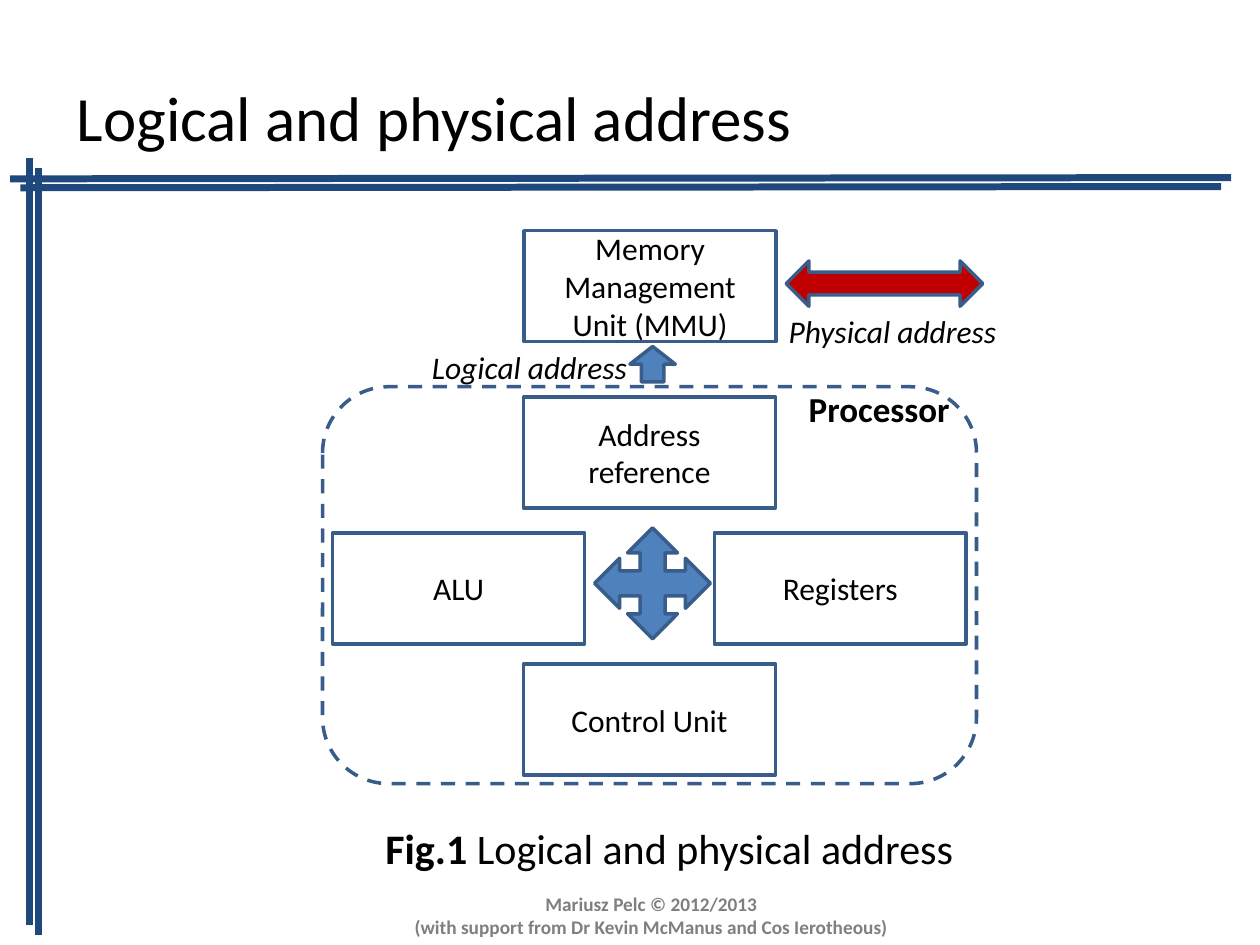
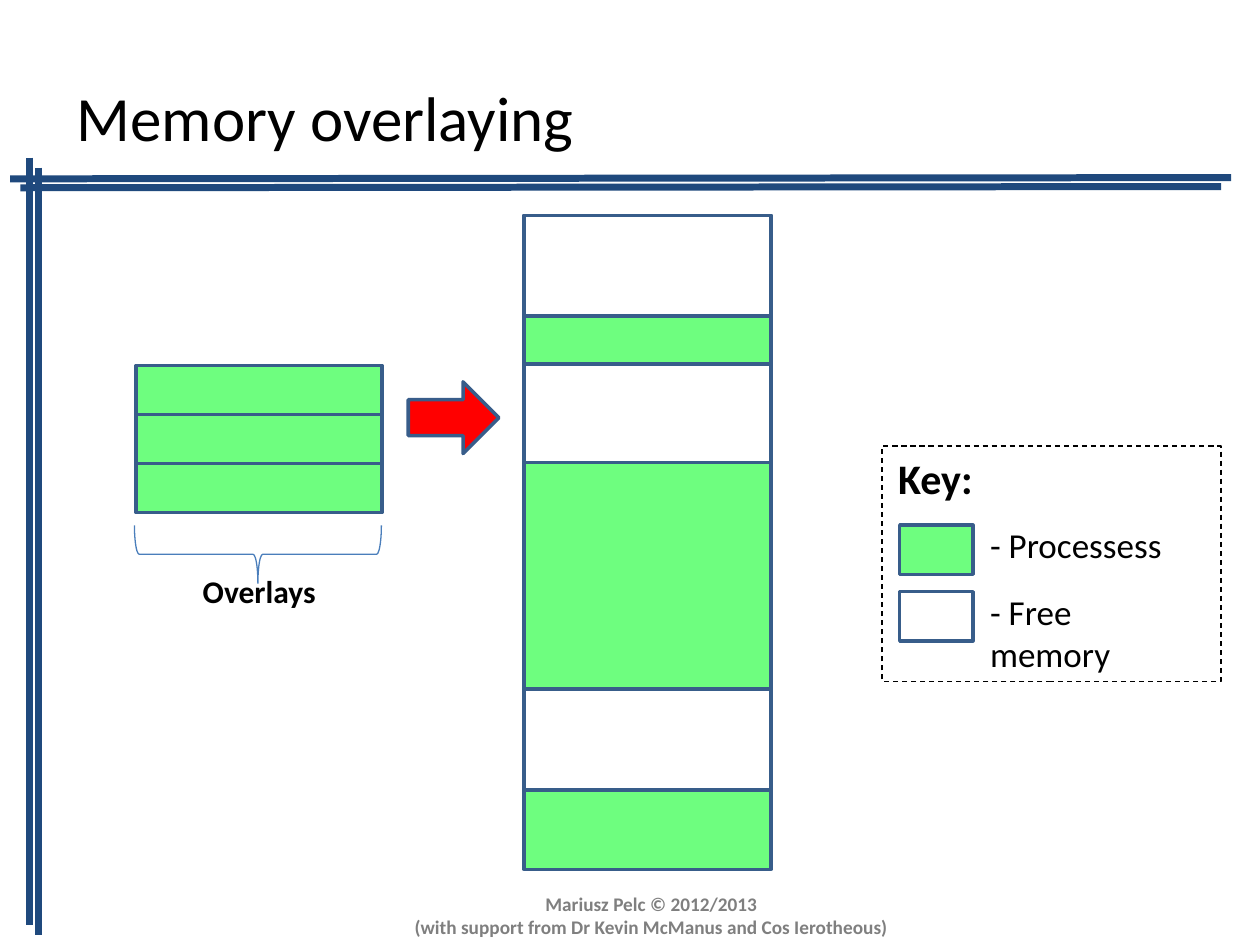
import pptx
import pptx.dml.color
import pptx.enum.dml
import pptx.enum.shapes
import pptx.enum.text
import pptx.oxml
import pptx.util

Pt = pptx.util.Pt
SHAPE = pptx.enum.shapes.MSO_SHAPE
ALIGN = pptx.enum.text.PP_ALIGN
MIDDLE = pptx.enum.text.MSO_ANCHOR.MIDDLE
DASH = pptx.enum.dml.MSO_LINE.DASH
FONT = "Calibri"
COLORS = {"band": "1F497D", "edge": "385D8A", "brace": "4A7EBB", "arrow": "4F81BD",
          "physical": "C00000", "load": "FF0000", "process": "6EFE7F",
          "free": "FFFFFF", "text": "000000", "footer": "7F7F7F"}


def rgb(name):
    """Return the named colour of the palette."""
    return pptx.dml.color.RGBColor.from_string(COLORS[name])


def format_span(span, size, color="text", **styles):
    """Apply the font, size, colour and styles to a run."""
    for name, value in {"name": FONT, "size": Pt(size), **styles}.items():
        setattr(span.font, name, value)
    span.font.color.rgb = rgb(color)


def write(para, text, size, color="text", align=ALIGN.LEFT, **styles):
    """Add one formatted run to a paragraph."""
    para.alignment = align
    span = para.add_run()
    span.text = text
    format_span(span, size, color, **styles)


def add_label(page, box, text, size, **styles):
    """Add a one-line text box and return its frame."""
    frame = page.shapes.add_textbox(*map(Pt, box)).text_frame
    frame.word_wrap = False
    write(frame.paragraphs[0], text, size, **styles)
    return frame


def add_figure(page, kind, box, fill=None, edge="edge", width=2, dash=None):
    """Add an outlined preset shape with an optional fill."""
    figure = page.shapes.add_shape(kind, *map(Pt, box))
    figure.shadow.inherit = False
    if fill:
        figure.fill.solid()
        figure.fill.fore_color.rgb = rgb(fill)
    else:
        figure.fill.background()
    figure.line.color.rgb = rgb(edge)
    for name, value in {"width": Pt(width), "dash_style": dash}.items():
        setattr(figure.line, name, value)
    return figure


def add_block(page, left, top, text):
    """Add a hardware block with a centred name."""
    block = add_figure(page, SHAPE.RECTANGLE, (left, top, 144, 63.4))
    block.text_frame.vertical_anchor = MIDDLE
    block.text_frame.word_wrap = True
    write(block.text_frame.paragraphs[0], text, 18, align=ALIGN.CENTER)


def add_bands(page, left, top):
    """Draw the crossing double bands from their upper left corner."""
    lines = [(10.8, 0, 10.8, 438.5), (16.5, 5.8, 16.5, 444.3),
             (0, 12.2, 697.7, 11.5), (5.8, 17.3, 692, 16.6)]
    for x1, y1, x2, y2 in lines:
        band = page.shapes.add_connector(
            pptx.enum.shapes.MSO_CONNECTOR.STRAIGHT,
            Pt(left + x1), Pt(top + y1), Pt(left + x2), Pt(top + y2))
        band.line.color.rgb = rgb("band")
        band.line.width = Pt(4)
        properties = band._element.spPr
        properties.append(pptx.oxml.parse_xml(
            '<a:effectLst xmlns:a="http://schemas.openxmlformats.org/drawingml/2006/main"/>'))


def add_footer(page, box):
    """Add the two centred credit lines."""
    style = {"color": "footer", "align": ALIGN.CENTER, "bold": True}
    frame = add_label(page, box, "Mariusz Pelc © 2012/2013", 11, **style)
    write(frame.add_paragraph(),
          "(with support from Dr Kevin McManus and Cos Ierotheous)", 11, **style)


def add_page(deck, title):
    """Add a page with the shared title, bands and footer."""
    page = deck.slides.add_slide(deck.slide_layouts[5])
    holder = page.shapes.title
    place = {"left": 36.7, "top": 21.6, "width": 551.5, "height": 90}
    for name, value in place.items():
        setattr(holder, name, Pt(value))
    holder.text_frame.vertical_anchor = MIDDLE
    write(holder.text_frame.paragraphs[0], title, 36)
    add_bands(page, 5.8, 90)
    add_footer(page, (229.7, 506.2, 285.1, 33.8))
    return page


def add_processor(page, box):
    """Draw the processor frame with its four linked units."""
    left, top, width, height = box
    middle = left + (width - 144) / 2
    side = top + 83.5
    add_block(page, left + 5.8, side, "ALU")
    add_block(page, left + width - 149.8, side, "Registers")
    add_block(page, middle, top + 158.4, "Control Unit")
    add_block(page, middle, top + 5.8, "Address reference")
    add_figure(page, SHAPE.ROUNDED_RECTANGLE, box, dash=DASH)
    add_label(page, (left + 270.7, top - 2.9, 95, 31.7), "Processor", 20, bold=True)
    add_figure(page, SHAPE.QUAD_ARROW, (left + 155.5, top + 80.6, 66.2, 63.4), "arrow")


def add_memory_unit(page, left, top):
    """Draw the memory unit with its logical and physical address arrows."""
    add_block(page, left, top, "Memory Management Unit (MMU)")
    add_figure(page, SHAPE.UP_ARROW, (left + 60.5, top + 66.2, 25.9, 20.2), "arrow")
    add_figure(page, SHAPE.LEFT_RIGHT_ARROW,
               (left + 149.8, top + 17.3, 112.3, 25.9), "physical")
    add_label(page, (left - 59.8, top + 63.4, 126, 28.8), "Logical address", 18, italic=True)
    add_label(page, (left + 144, top + 43.2, 133.2, 28.8), "Physical address", 18, italic=True)


def add_memory(page, box):
    """Draw the memory column with free areas among the processes."""
    left, top, width, height = box
    add_figure(page, SHAPE.RECTANGLE, box, "process")
    for offset, size in [(0, 57.6), (85, 56.2), (270.7, 57.6)]:
        add_figure(page, SHAPE.RECTANGLE, (left, top + offset, width, size), "free")


def add_overlays(page, box):
    """Draw three stacked overlays, their brace, label and loading arrow."""
    left, top, width, height = box
    row = height / 3
    for index in range(3):
        add_figure(page, SHAPE.RECTANGLE, (left, top + index * row, width, row), "process")
    depth = 33.1
    brace = add_figure(page, SHAPE.LEFT_BRACE,
                       (left + (width - depth) / 2 - 0.6, top + 37.4, depth, 141.1),
                       edge="brace", width=0.75)
    brace.rotation = 270
    add_label(page, (left + 31, top + 114.5, 79.2, 28.8), "Overlays", 18, bold=True)
    add_figure(page, SHAPE.RIGHT_ARROW, (left + 155.5, top + 9.4, 51.8, 41), "load")


def add_key(page, box):
    """Draw the dashed key with one swatch per kind of memory."""
    left, top, width, height = box
    add_figure(page, SHAPE.RECTANGLE, box, edge="text", width=0.75, dash=DASH)
    add_label(page, (left + 2.2, top, 57.6, 36), "Key:", 24, bold=True)
    entries = [("process", "- Processess"), ("free", "- Free memory")]
    for index, (fill, text) in enumerate(entries):
        row = top + index * 38
        add_figure(page, SHAPE.RECTANGLE, (left + 10.1, row + 45.2, 41.8, 28.1), fill)
        add_label(page, (left + 54.7, row + 40.8, 133.9, 31.7), text, 20)


def build_address_page(deck):
    """Build the page on logical and physical addresses."""
    page = add_page(deck, "Logical and physical address")
    add_processor(page, (184.3, 221, 373.7, 226.8))
    add_memory_unit(page, 299.5, 131.8)
    caption = add_label(page, (213.1, 466.6, 339.8, 36), "Fig.1 ", 24, bold=True)
    write(caption.paragraphs[0], "Logical and physical address", 24, bold=False)


def build_overlay_page(deck):
    """Build the page on memory overlaying."""
    page = add_page(deck, "Memory overlaying")
    add_memory(page, (299.5, 123.1, 141.1, 373.7))
    add_overlays(page, (77.8, 208.8, 140.4, 84.2))
    add_key(page, (504, 254.9, 193.7, 134.6))


def main():
    """Build and save the deck."""
    deck = pptx.Presentation()
    deck.slide_width, deck.slide_height = Pt(720), Pt(540)
    build_address_page(deck)
    build_overlay_page(deck)
    deck.save("out.pptx")


if __name__ == "__main__":
    main()
